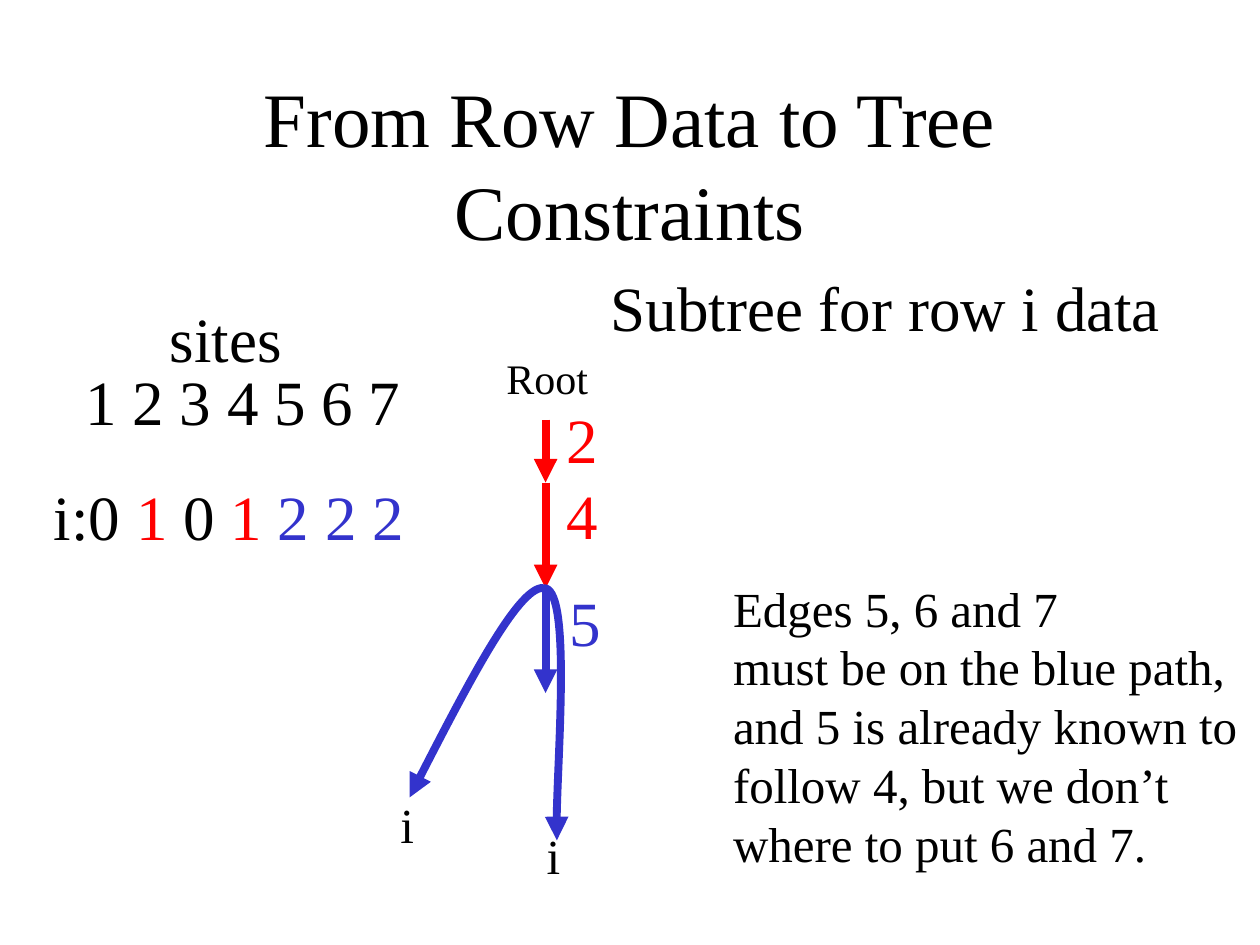
from dataclasses import dataclass

from lxml import etree
from pptx import Presentation, util as u
from pptx.dml.color import RGBColor
from pptx.enum import shapes, text
from pptx.oxml import ns


@dataclass(frozen=True)
class Theme:
    font: str = "Times New Roman"
    black: str = "000000"
    red: str = "FF0000"
    blue: str = "3333CC"
    title: int = 44
    large: int = 36
    body: int = 28
    small: int = 24
    leading: float = 1.2
    edge_width: float = 4.5


def write_paragraph(paragraph, runs, size, font, leading, align=None, before=0, indent=0):
    """Write (text, colour) runs into a paragraph."""
    paragraph.alignment = align
    paragraph.line_spacing = u.Pt(size * leading)
    paragraph.space_before = u.Pt(before)
    if indent:
        paragraph._p.get_or_add_pPr().set("marL", str(u.Inches(indent)))
    for content, color in runs:
        run = paragraph.add_run()
        run.text = content
        run.font.name = font
        run.font.size = u.Pt(size)
        run.font.color.rgb = RGBColor.from_string(color)


class SlideBuilder:
    def __init__(self, slide, theme):
        self.slide = slide
        self.theme = theme

    def text(self, box, lines, size, color=None, wrap=False, anchor=text.MSO_ANCHOR.TOP,
             align=text.PP_ALIGN.LEFT, gap=0, first_indent=0):
        """Each line is a string or a list of (text, colour) runs."""
        shape = self.slide.shapes.add_textbox(*map(u.Inches, box))
        frame = shape.text_frame
        frame.word_wrap = wrap
        frame.vertical_anchor = anchor
        for index, line in enumerate(lines):
            paragraph = frame.add_paragraph() if index else frame.paragraphs[0]
            runs = [(line, color or self.theme.black)] if isinstance(line, str) else line
            write_paragraph(paragraph, runs, size, self.theme.font, self.theme.leading,
                            align=align, before=gap if index else 0,
                            indent=0 if index else first_indent)

    def style_edge(self, shape, color, ends):
        shape.line.color.rgb = RGBColor.from_string(color)
        shape.line.width = u.Pt(self.theme.edge_width)
        line = shape.line._get_or_add_ln()
        for end in ends:
            etree.SubElement(line, ns.qn(f"a:{end}"), type="triangle")

    def arrow(self, x, top, bottom, color):
        connector = self.slide.shapes.add_connector(
            shapes.MSO_CONNECTOR.STRAIGHT, *map(u.Inches, (x, top, x, bottom)))
        self.style_edge(connector, color, ["tailEnd"])
        etree.SubElement(connector._element.spPr, ns.qn("a:effectLst"))

    def curve(self, points, color):
        """Draw cubic segments: a start, then two controls and an end for each."""
        start, *rest = [(u.Inches(x), u.Inches(y)) for x, y in points]
        builder = self.slide.shapes.build_freeform(*start)
        builder.add_line_segments(rest, close=False)
        shape = builder.convert_to_shape()
        shape.shadow.inherit = False
        shape.fill.background()
        self.style_edge(shape, color, ["headEnd", "tailEnd"])
        # Turn every three straight segments into one cubic segment
        segments = list(shape._element.iter(ns.qn("a:lnTo")))
        for first in range(0, len(segments), 3):
            path_element = segments[first].getparent()
            cubic = etree.SubElement(path_element, ns.qn("a:cubicBezTo"))
            for segment in segments[first:first + 3]:
                cubic.append(segment[0])
                path_element.remove(segment)


def main():
    presentation = Presentation()
    presentation.slide_width = u.Inches(10)
    presentation.slide_height = u.Inches(7.5)
    theme = Theme()
    black, red, blue = theme.black, theme.red, theme.blue
    builder = SlideBuilder(presentation.slides.add_slide(presentation.slide_layouts[6]), theme)

    # Title and headings
    builder.text((0.75, 0.67, 8.5, 1.25), ["From Row Data to Tree Constraints"], theme.title,
                 wrap=True, anchor=text.MSO_ANCHOR.MIDDLE, align=text.PP_ALIGN.CENTER)
    builder.text((3.92, 2.75, 1.08, 0.5), ["Root"], theme.small, wrap=True)
    builder.text((4.75, 2.08, 5, 0.7), ["Subtree for row i data"], theme.large, wrap=True)

    # Row data
    row = [("i:0 ", black), ("1", red), (" 0 ", black), ("1", red), (" 2 2 2", blue)]
    builder.text((0.33, 2.83, 3.17, 1.62), ["1 2 3 4 5 6 7", row], theme.large,
                 wrap=True, gap=22.5, first_indent=0.25)
    builder.text((1.25, 2.33, 1.09, 0.7), ["sites"], theme.large)

    # Tree edges
    trunk = 4.33
    for top, bottom, color in [(3.33, 3.83, red), (3.83, 4.67, red), (4.67, 5.5, blue)]:
        builder.arrow(trunk, top, bottom, color)
    builder.curve([(3.25, 6.33), (3.69, 5.47), (4.14, 4.61), (trunk, 4.67),
                   (4.53, 4.72), (4.4, 6.33), (4.42, 6.67)], blue)

    # Edge and leaf labels
    builder.text((4.4, 3.13, 0.45, 1.3), ["2", "4"], theme.large, color=red)
    builder.text((4.42, 4.58, 0.45, 0.7), ["5"], theme.large, color=blue)
    for left, top in [(3.08, 6.26), (4.24, 6.5)]:
        builder.text((left, top, 0.31, 0.57), ["i"], theme.body)

    # Explanation
    builder.text((5.72, 4.54, 4.2, 2.44),
                 ["Edges 5, 6 and 7", "must be on the blue path,", "and 5 is already known to",
                  "follow 4, but we don’t", "where to put 6 and 7."], theme.body)

    presentation.save("out.pptx")


if __name__ == "__main__":
    main()
